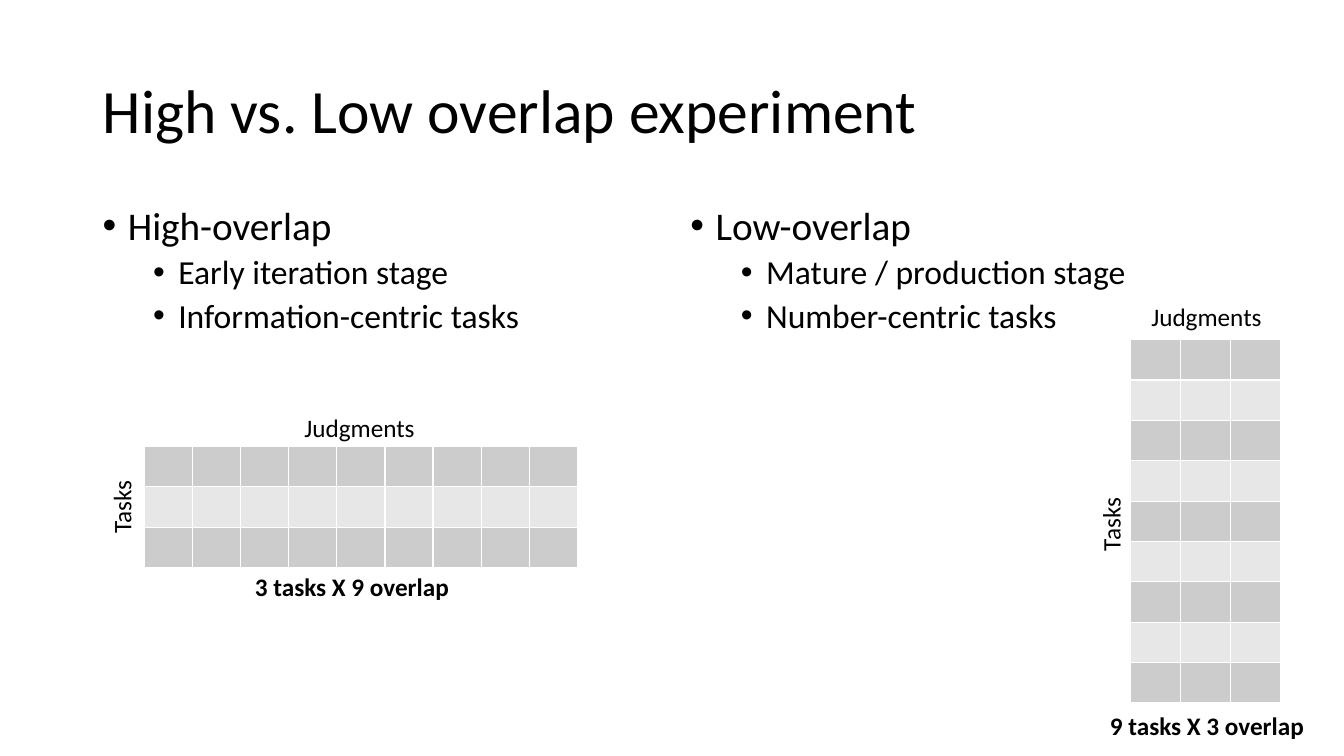
from lxml import etree
from pptx import Presentation
from pptx.dml.color import RGBColor
from pptx.enum.text import MSO_ANCHOR
from pptx.oxml.ns import qn
from pptx.util import Inches, Pt

MIDDLE = MSO_ANCHOR.MIDDLE
BLACK = RGBColor(0x00, 0x00, 0x00)
WHITE = RGBColor(0xFF, 0xFF, 0xFF)
DARK = RGBColor(0xCC, 0xCC, 0xCC)
LIGHT = RGBColor(0xE7, 0xE7, 0xE7)
FONT = "Calibri"
ROW = 0.4


def style(para, size, bold=False):
    for run in para.runs:
        run.font.name = FONT
        run.font.size = Pt(size)
        run.font.bold = bold
        run.font.color.rgb = BLACK


def add_box(slide, left, top, width, height, wrap=True):
    box = slide.shapes.add_textbox(
        Inches(left), Inches(top), Inches(width), Inches(height))
    box.text_frame.word_wrap = wrap
    return box


def add_title(slide, text):
    frame = add_box(slide, 0.92, 0.4, 11.5, 1.45).text_frame
    frame.vertical_anchor = MIDDLE
    frame.text = text
    frame.paragraphs[0].line_spacing = 0.9
    style(frame.paragraphs[0], 44)


def add_label(slide, text, left, top, width, bold=False, turn=0):
    box = add_box(slide, left, top, width, 0.4, wrap=False)
    box.rotation = turn
    box.text_frame.text = text
    style(box.text_frame.paragraphs[0], 18, bold)


def add_bullet(para, indent):
    props = para._p.get_or_add_pPr()
    props.set("marL", str(Inches(indent)))
    props.set("indent", str(Inches(-0.25)))
    etree.SubElement(props, qn("a:buFont"), typeface="Arial")
    etree.SubElement(props, qn("a:buChar"), char="•")


def add_list(slide, left, head, items):
    frame = add_box(slide, left, 2, 5.67, 4.76).text_frame
    frame.text = "\n".join([head] + items)
    for index, para in enumerate(frame.paragraphs):
        add_bullet(para, 0.75 if index else 0.25)
        para.line_spacing = 0.9
        if index:
            para.level = 1
            para.space_before = Pt(5)
        style(para, 24 if index else 28)


def add_border(cell):
    props = cell._tc.get_or_add_tcPr()
    for side in ("lnL", "lnR", "lnT", "lnB"):
        line = etree.SubElement(props, qn("a:" + side), w=str(Pt(1)))
        fill = etree.SubElement(line, qn("a:solidFill"))
        etree.SubElement(fill, qn("a:srgbClr"), val=str(WHITE))


def add_grid(slide, left, top, width, rows, cols):
    table = slide.shapes.add_table(
        rows, cols, Inches(left), Inches(top),
        Inches(width), Inches(ROW * rows)).table
    table.first_row = False
    table.horz_banding = False
    for row in range(rows):
        for col in range(cols):
            cell = table.cell(row, col)
            add_border(cell)
            cell.fill.solid()
            cell.fill.fore_color.rgb = LIGHT if row % 2 else DARK


def main():
    deck = Presentation()
    deck.slide_width = Inches(13.33)
    deck.slide_height = Inches(7.5)
    slide = deck.slides.add_slide(deck.slide_layouts[6])

    add_title(slide, "High vs. Low overlap experiment")
    add_list(slide, 0.92, "High-overlap",
             ["Early iteration stage", "Information-centric tasks"])
    add_list(slide, 6.75, "Low-overlap",
             ["Mature / production stage", "Number-centric tasks"])

    add_grid(slide, 1.43, 4.43, 4.3, 3, 9)
    add_grid(slide, 11.21, 3.37, 1.49, 9, 3)

    add_label(slide, "3 tasks X 9 overlap", 2.43, 5.62, 2.14, bold=True)
    add_label(slide, "9 tasks X 3 overlap", 10.91, 7, 2.14, bold=True)
    for left, top in ((2.92, 4.04), (11.32, 2.94)):
        add_label(slide, "Judgments", left, top, 1.31)
    for left, top in ((0.84, 4.83), (10.65, 5)):
        add_label(slide, "Tasks", left, top, 0.73, turn=270)

    deck.save("out.pptx")


if __name__ == "__main__":
    main()
